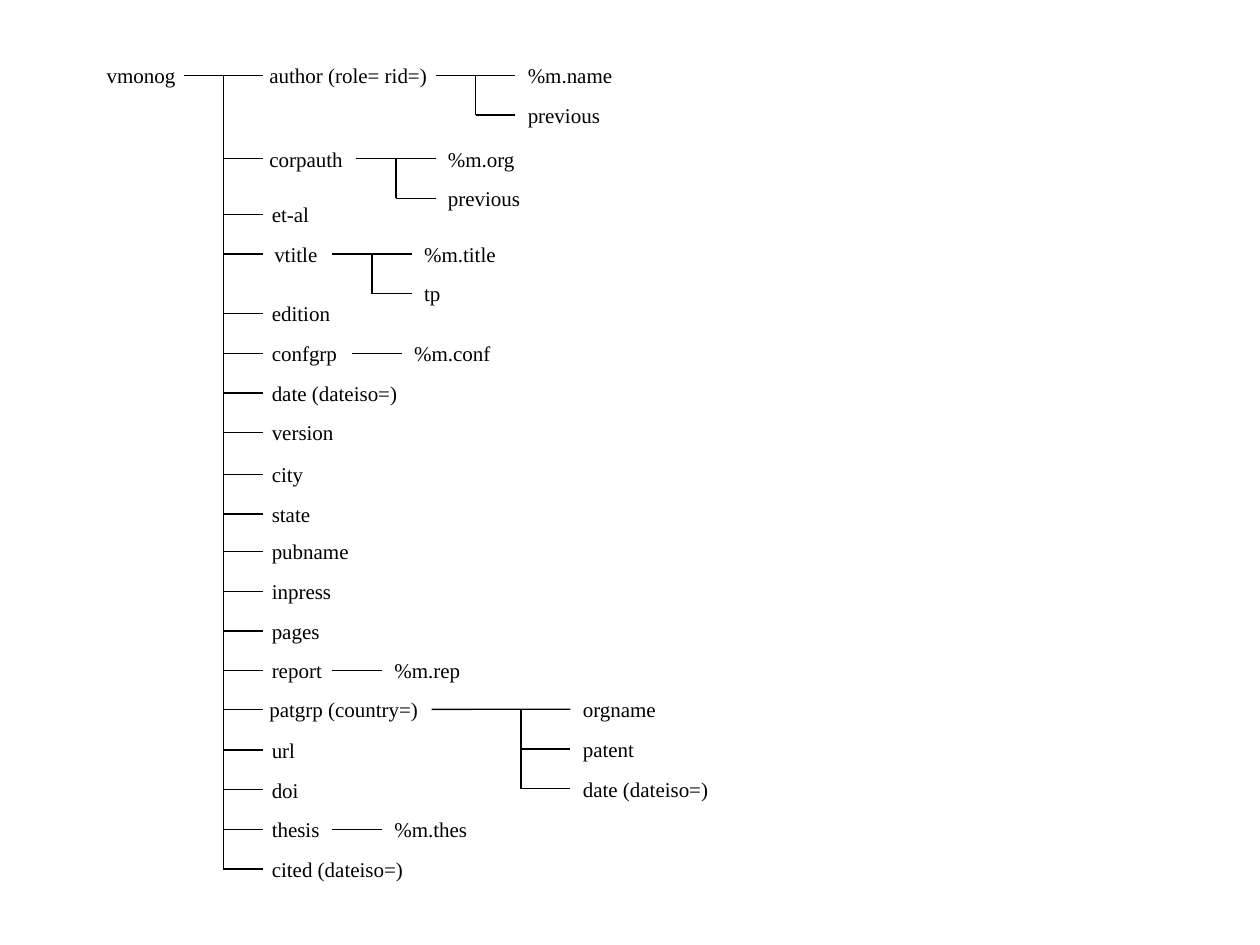
from lxml.etree import SubElement
from pptx import Presentation
from pptx.dml.color import RGBColor
from pptx.enum.shapes import MSO_CONNECTOR
from pptx.enum.text import MSO_AUTO_SIZE
from pptx.oxml.ns import qn
from pptx.util import Cm, Pt

INK = "000000"
LABEL_HEIGHT = 0.76
ROW = 0.8

# Root entries: label, distance below the first entry, label offset, label width
ENTRIES = [
    ("author (role= rid=)", 0, -0.12, 3.8),
    ("corpauth", 1.68, -0.12, 2),
    ("et-al", 2.8, -0.07, 2),
    ("vtitle", 3.6, -0.02, 1.52),
    ("edition", 4.8, -0.07, 2),
    ("confgrp", 5.6, -0.07, 2),
    ("date (dateiso=)", 6.4, -0.07, 3.2),
    ("version", 7.2, -0.07, 2),
    ("city", 8.04, -0.07, 3.8),
    ("state", 8.84, -0.07, 3.8),
    ("pubname", 9.6, -0.07, 2.26),
    ("inpress", 10.4, -0.07, 2),
    ("pages", 11.2, -0.07, 2),
    ("report", 12, -0.07, 1.68),
    ("patgrp (country=)", 12.78, -0.12, 3.53),
    ("url", 13.6, -0.07, 2),
    ("doi", 14.4, -0.07, 2),
    ("thesis", 15.2, -0.07, 1.68),
    ("cited (dateiso=)", 16, -0.07, 3.2),
]

# Sub-branches: parent, left edge, stem length, tick length, (label, width) pairs
SUBBRANCHES = [
    ("author (role= rid=)", 8.79, 0.8, 0.8, [("%m.name", 2.4), ("previous", 2.4)]),
    ("corpauth", 7.18, 0.8, 0.8, [("%m.org", 2), ("previous", 2.4)]),
    ("vtitle", 6.7, 0.8, 0.8, [("%m.title", 2), ("tp", 2.4)]),
    ("confgrp", 7.1, 0, 1, [("%m.conf", 2.6)]),
    ("report", 6.7, 0, 1, [("%m.rep", 2)]),
    ("patgrp (country=)", 8.7, 1.8, 1,
     [("orgname", 2.4), ("patent", 2.4), ("date (dateiso=)", 3.2)]),
    ("thesis", 6.7, 0, 1, [("%m.thes", 2)]),
]


def color(hex_string):
    return RGBColor.from_string(hex_string)


def add_label(slide, text, left, middle, width):
    shape = slide.shapes.add_textbox(
        Cm(left), Cm(middle - LABEL_HEIGHT / 2), Cm(width), Cm(LABEL_HEIGHT))
    frame = shape.text_frame
    frame.word_wrap = True
    frame.auto_size = MSO_AUTO_SIZE.SHAPE_TO_FIT_TEXT
    frame.text = text
    font = frame.paragraphs[0].font
    font.name, font.size = "Times New Roman", Pt(12)
    font.color.rgb = color(INK)
    return shape


def add_line(slide, x1, y1, x2, y2):
    line = slide.shapes.add_connector(
        MSO_CONNECTOR.STRAIGHT, Cm(x1), Cm(y1), Cm(x2), Cm(y2))
    line.line.color.rgb = color(INK)
    line.line.width = Pt(0.75)
    SubElement(line._element.spPr, qn("a:effectLst"))
    return line


def add_branch(slide, left, top, stem, tick, entries):
    """Draw a stem, a trunk and one tick with a label for each entry."""
    trunk = left + stem
    end = trunk + tick
    for index, (text, drop, offset, width) in enumerate(entries):
        middle = top + drop
        start = trunk if index else left
        tick_line = add_line(slide, start, middle, end, middle)
        label = add_label(slide, text, end + offset, middle, width)
        if offset == 0:
            tick_line.end_connect(label, 1)
    if len(entries) > 1:
        add_line(slide, trunk, top, trunk, top + entries[-1][1])


def build_tree(slide, left, top):
    # Root and its entries
    add_label(slide, "vmonog", left, top, 2)
    add_branch(slide, left + 1.8, top, 0.8, 0.8, ENTRIES)

    # Sub-branches level with their parents
    drops = {text: drop for text, drop, _, _ in ENTRIES}
    for parent, branch_left, stem, tick, children in SUBBRANCHES:
        entries = [(text, row * ROW, 0, width)
                   for row, (text, width) in enumerate(children)]
        add_branch(slide, left + branch_left - 1.9, top + drops[parent],
                   stem, tick, entries)


def main():
    presentation = Presentation()
    presentation.slide_width, presentation.slide_height = Cm(25.4), Cm(19.05)
    slide = presentation.slides.add_slide(presentation.slide_layouts[6])
    build_tree(slide, 1.9, 1.52)
    presentation.save("out.pptx")


if __name__ == "__main__":
    main()
